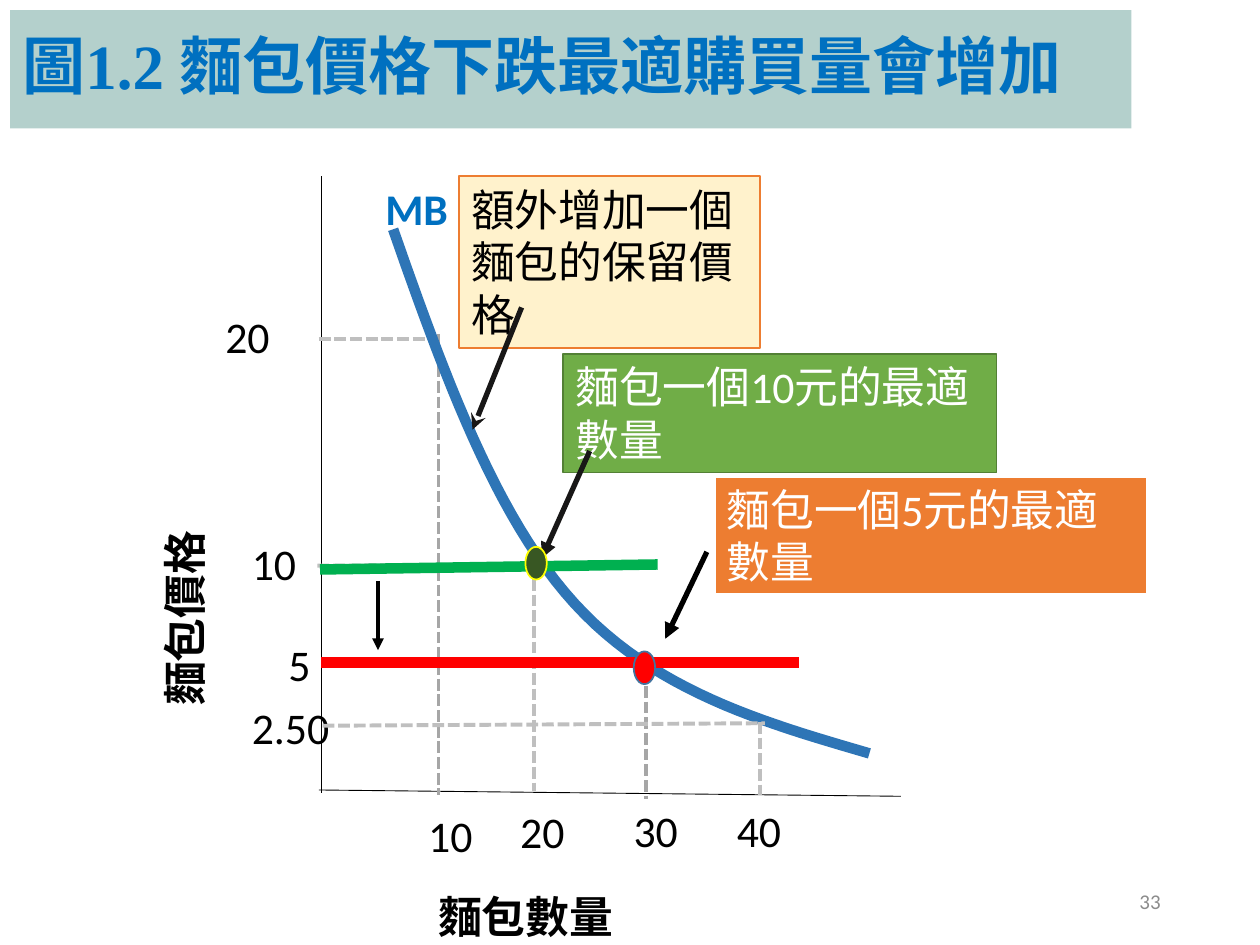
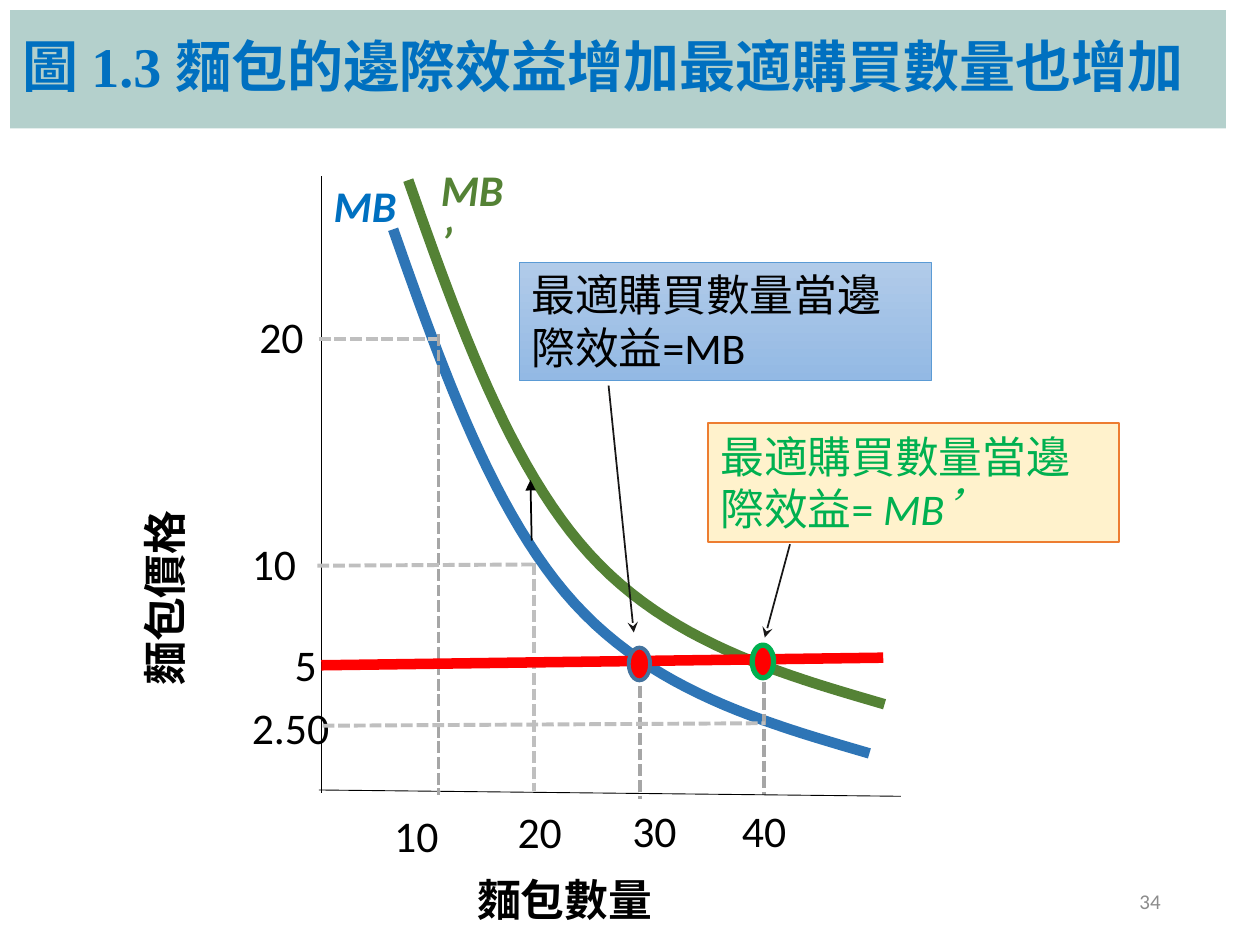
from dataclasses import dataclass

from lxml import etree
from pptx import Presentation
from pptx.dml.color import RGBColor
from pptx.enum.dml import MSO_LINE
from pptx.enum.shapes import MSO_CONNECTOR, MSO_SHAPE
from pptx.enum.text import MSO_ANCHOR, PP_ALIGN
from pptx.oxml.ns import qn
from pptx.util import Inches, Pt

RECTANGLE = MSO_SHAPE.RECTANGLE
OVAL = MSO_SHAPE.OVAL
STRAIGHT = MSO_CONNECTOR.STRAIGHT
DASHED = MSO_LINE.SQUARE_DOT
TOP, MIDDLE = MSO_ANCHOR.TOP, MSO_ANCHOR.MIDDLE
LEFT, RIGHT = PP_ALIGN.LEFT, PP_ALIGN.RIGHT


@dataclass(frozen=True)
class Theme:
    body_font: str = "Calibri"
    title_font: str = "Times New Roman"
    body_size: float = 25
    page_size: float = 12
    curve_width: float = 6
    guide_width: float = 2.25
    black: str = "000000"
    arrow: str = "181717"
    white: str = "FFFFFF"
    band: str = "B4D0CC"
    title: str = "0070C0"
    page: str = "8C8C8C"
    light_guide: str = "BFBFBF"
    dark_guide: str = "A6A6A6"
    benefit: str = "2E75B6"
    new_benefit: str = "548235"
    red: str = "FF0000"
    green: str = "00B050"
    yellow: str = "FFFF00"
    cream: str = "FFF2CC"
    orange: str = "ED7D31"
    leaf: str = "70AD47"
    leaf_edge: str = "538035"
    moss: str = "385723"
    blue_edge: str = "43739E"
    sky_edge: str = "5B9BD5"
    sky: tuple = ("B1CBE9", "93B9E4")


BENEFIT_START = (3.12, 1.82)
BENEFIT_BENDS = [
    [(3.52, 2.96), (3.93, 4.1), (4.56, 4.79)],
    [(5.19, 5.48), (6.04, 5.73), (6.9, 5.98)],
]
CURVE_STEPS = 24


def rgb(color):
    return RGBColor.from_string(color)


def curve_points():
    start = BENEFIT_START
    points = [start]
    for first, second, end in BENEFIT_BENDS:
        for step in range(1, CURVE_STEPS + 1):
            t = step / CURVE_STEPS
            weights = ((1 - t) ** 3, 3 * t * (1 - t) ** 2, 3 * t * t * (1 - t), t ** 3)
            corners = (start, first, second, end)
            points.append(tuple(sum(w * c[axis] for w, c in zip(weights, corners))
                                for axis in (0, 1)))
        start = end
    return points


class Deck:
    def __init__(self, theme):
        self.theme = theme
        self.presentation = Presentation()
        self.presentation.slide_width = Inches(10)
        self.presentation.slide_height = Inches(7.5)
        self.shapes = None

    def new_slide(self, title, title_width, title_size, page):
        theme = self.theme
        layout = self.presentation.slide_layouts[6]
        self.shapes = self.presentation.slides.add_slide(layout).shapes
        band = self.box(RECTANGLE, 0.08, 0.08, title_width, 0.94, theme.band)
        self.add_words(band, [(title, False)], theme.title, size=title_size, bold=True,
                       font=theme.title_font, anchor=MIDDLE, spacing=0.9)
        self.text(7.06, 6.95, 2.25, page, height=0.4, color=theme.page,
                  size=theme.page_size, align=RIGHT, anchor=MIDDLE)

    def add_words(self, holder, runs, color, size=None, bold=False, font=None,
                  align=LEFT, anchor=TOP, wrap=True, spacing=None):
        frame = holder.text_frame
        frame.word_wrap = wrap
        frame.vertical_anchor = anchor
        paragraph = frame.paragraphs[0]
        paragraph.alignment = align
        paragraph.line_spacing = spacing
        for words, italic in runs:
            run = paragraph.add_run()
            run.text = words
            run.font.name = font or self.theme.body_font
            run.font.size = Pt(size or self.theme.body_size)
            run.font.bold = bold
            run.font.italic = italic
            run.font.color.rgb = rgb(color)

    def text(self, x, y, width, words, height=0.52, color=None, italic=False,
             upward=False, **style):
        holder = self.shapes.add_textbox(Inches(x), Inches(y), Inches(width), Inches(height))
        self.add_words(holder, [(words, italic)], color or self.theme.black, **style)
        if upward:
            holder.text_frame._txBody.bodyPr.set("vert", "vert270")

    def box(self, kind, x, y, width, height, fill, edge=None, edge_width=1):
        shape = self.shapes.add_shape(kind, Inches(x), Inches(y), Inches(width), Inches(height))
        shape.shadow.inherit = False
        if isinstance(fill, tuple):
            shape.fill.gradient()
            shape.fill.gradient_angle = 270
            for stop, color in zip(shape.fill.gradient_stops, fill):
                stop.color.rgb = rgb(color)
        else:
            shape.fill.solid()
            shape.fill.fore_color.rgb = rgb(fill)
        if edge:
            shape.line.color.rgb = rgb(edge)
            shape.line.width = Pt(edge_width)
        else:
            shape.line.fill.background()
        return shape

    def callout(self, x, y, width, runs, color, fill, edge, edge_width=1, height=0.94):
        shape = self.box(RECTANGLE, x, y, width, height, fill, edge, edge_width)
        self.add_words(shape, runs, color)

    def optimum(self, x, y, fill, edge, edge_width=1):
        self.box(OVAL, x, y, 0.17, 0.26, fill, edge, edge_width)

    def line(self, start, end, color, width, dash=None, head=None):
        connector = self.shapes.add_connector(STRAIGHT, *map(Inches, start + end))
        connector.line.color.rgb = rgb(color)
        connector.line.width = Pt(width)
        if dash:
            connector.line.dash_style = dash
        if head:
            etree.SubElement(connector.line._get_or_add_ln(), qn("a:tailEnd"), type=head)
        etree.SubElement(connector._element.spPr, qn("a:effectLst"))

    def guide(self, start, end, color):
        self.line(start, end, color, self.theme.guide_width, dash=DASHED)

    def price_line(self, start, end, color):
        self.line(start, end, color, self.theme.curve_width)

    def curve(self, color, shift=(0, 0)):
        points = [(Inches(x + shift[0]), Inches(y + shift[1])) for x, y in curve_points()]
        builder = self.shapes.build_freeform(*points[0])
        builder.add_line_segments(points[1:], close=False)
        shape = builder.convert_to_shape()
        shape.shadow.inherit = False
        shape.fill.background()
        shape.line.color.rgb = rgb(color)
        shape.line.width = Pt(self.theme.curve_width)

    def axes(self):
        theme = self.theme
        self.line((2.55, 1.4), (2.55, 6.29), theme.black, 0.5)
        self.line((2.53, 6.27), (7.15, 6.32), theme.black, 0.5)
        self.guide((2.53, 2.69), (3.48, 2.69), theme.light_guide)
        self.guide((3.48, 2.65), (3.48, 6.31), theme.dark_guide)
        self.guide((2.52, 4.49), (4.24, 4.48), theme.light_guide)
        self.guide((4.24, 4.47), (4.24, 6.28), theme.light_guide)

    def scale(self, x_of_price_20, x_of_price_5, quantity_lefts):
        prices = [("20", x_of_price_20, 2.41), ("10", 1.9, 4.21), ("5", x_of_price_5, 5.01)]
        for price, x, y in prices:
            self.text(x, y, 0.66, price)
        self.text(1.9, 5.51, 0.82, "2.50", wrap=False)
        tops = (6.37, 6.34, 6.33, 6.33)
        for step, (x, y) in enumerate(zip(quantity_lefts, tops), start=1):
            self.text(x, y, 0.7, str(10 * step))

    def axis_names(self, price_at, quantity_at):
        self.text(*price_at, 0.62, "麵包價格", height=4.18, bold=True, upward=True)
        self.text(*quantity_at, 1.6, "麵包數量", bold=True, wrap=False)

    def lowest_price_guide(self):
        self.guide((2.56, 5.76), (6.07, 5.74), self.theme.light_guide)


def price_fall(deck):
    theme = deck.theme
    deck.new_slide("圖1.2 麵包價格下跌最適購買量會增加", 8.9, 36, "33")
    deck.axes()
    deck.curve(theme.benefit)
    deck.price_line((2.55, 5.26), (6.34, 5.26), theme.red)
    deck.guide((5.13, 5.32), (5.13, 6.34), theme.dark_guide)
    deck.scale(1.69, 2.19, (3.3, 4.03, 4.93, 5.75))
    deck.text(2.96, 1.39, 0.75, "MB", color=theme.title, bold=True)
    deck.axis_names((1.2, 1.52), (3.38, 7.01))
    deck.callout(3.64, 1.4, 2.39, [("額外增加一個麵包的保留價格", False)],
                 theme.black, theme.cream, theme.orange, height=1.36)
    deck.callout(4.47, 2.81, 3.44, [("麵包一個10元的最適數量", False)],
                 theme.white, theme.leaf, theme.leaf_edge)
    deck.optimum(5.03, 5.17, theme.red, theme.blue_edge)
    deck.line((4.14, 2.44), (3.75, 3.41), theme.arrow, 3, head="stealth")
    deck.line((5.61, 4.38), (5.28, 5.07), theme.black, 3, head="triangle")
    deck.line((4.68, 3.58), (4.3, 4.43), theme.arrow, 3, head="triangle")
    deck.lowest_price_guide()
    deck.guide((6.03, 5.73), (6.03, 6.31), theme.light_guide)
    deck.price_line((2.54, 4.52), (5.22, 4.48), theme.green)
    deck.callout(5.67, 3.78, 3.44, [("麵包一個5元的最適數量", False)],
                 theme.white, theme.orange, theme.white, 1.5)
    deck.optimum(4.17, 4.34, theme.moss, theme.yellow)
    deck.line((3, 4.61), (3, 5.16), theme.black, 2.25, head="triangle")


def benefit_rise(deck):
    theme = deck.theme
    deck.new_slide("圖 1.3 麵包的邊際效益增加最適購買數量也增加", 9.65, 32, "34")
    deck.curve(theme.benefit)
    deck.curve(theme.new_benefit, shift=(0.12, -0.39))
    deck.guide((6.06, 5.29), (6.06, 6.31), theme.dark_guide)
    deck.axes()
    deck.guide((5.08, 5.32), (5.08, 6.34), theme.dark_guide)
    deck.scale(1.96, 2.24, (3.03, 4.01, 4.92, 5.79))
    deck.text(2.55, 1.37, 0.75, "MB", color=theme.title, bold=True, italic=True)
    deck.axis_names((1.04, 1.36), (3.69, 6.88))
    deck.callout(4.12, 2.08, 3.27, [("最適購買數量當邊際效益=MB", False)],
                 theme.black, theme.sky, theme.sky_edge, 0.5)
    deck.lowest_price_guide()
    deck.text(3.4, 1.24, 0.75, "MB’", color=theme.new_benefit, bold=True, italic=True)
    deck.line((4.22, 4.29), (4.21, 3.81), theme.black, 1, head="triangle")
    deck.price_line((2.55, 5.28), (7.01, 5.22), theme.red)
    deck.optimum(4.99, 5.14, theme.red, theme.blue_edge, 2.25)
    deck.optimum(5.97, 5.12, theme.red, theme.green, 3)
    deck.callout(5.62, 3.36, 3.26, [("最適購買數量當邊際效益= ", False), ("MB’", True)],
                 theme.green, theme.cream, theme.orange)
    deck.line((4.83, 3.06), (5.03, 5.02), theme.arrow, 1, head="stealth")
    deck.line((6.27, 4.32), (6.07, 5.06), theme.arrow, 1, head="stealth")


def main():
    deck = Deck(Theme())
    price_fall(deck)
    benefit_rise(deck)
    deck.presentation.save("out.pptx")


if __name__ == "__main__":
    main()
